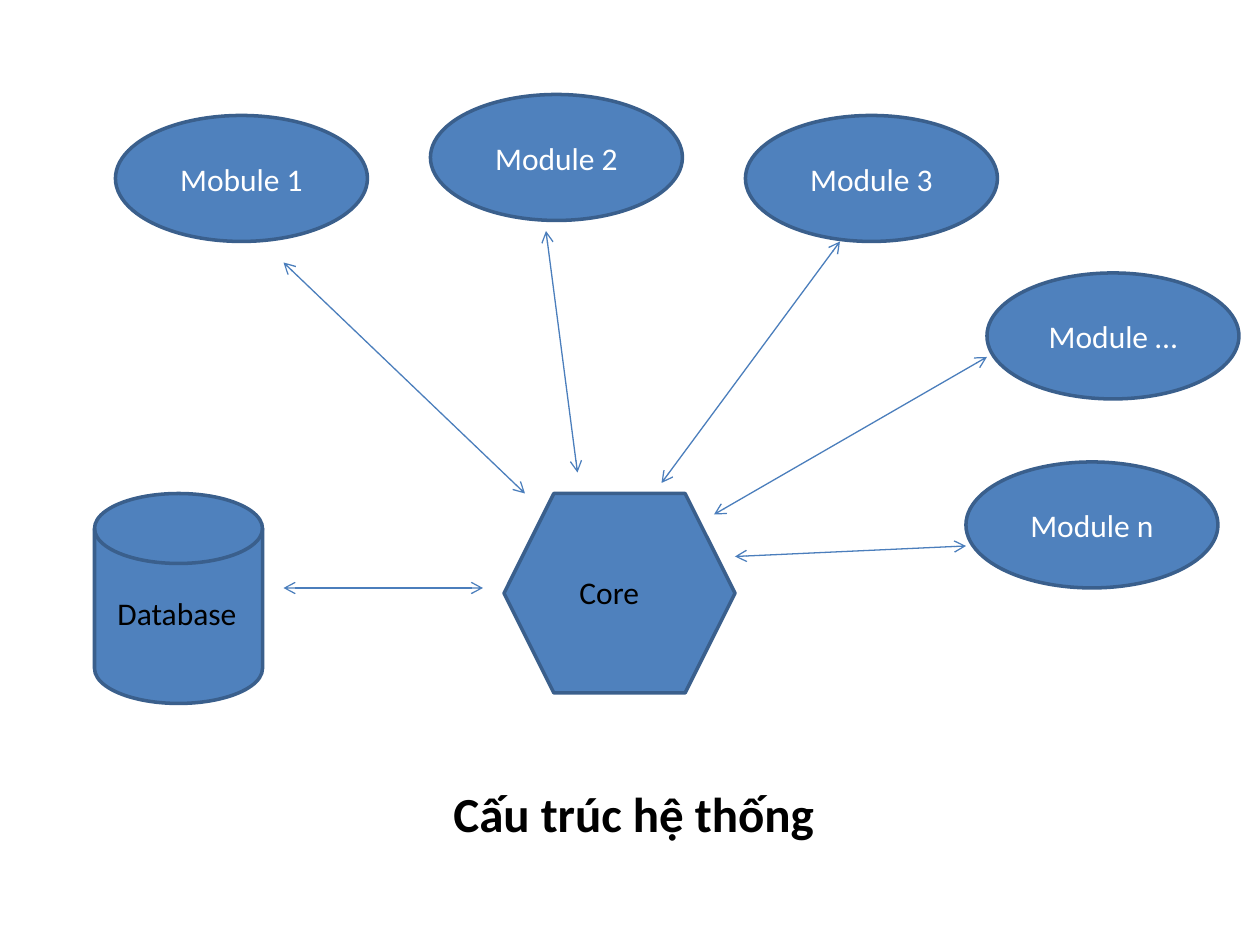
from lxml import etree
from pptx import Presentation
from pptx.dml.color import RGBColor
from pptx.enum.shapes import MSO_CONNECTOR, MSO_SHAPE
from pptx.enum.text import MSO_ANCHOR, PP_ALIGN
from pptx.oxml.ns import qn
from pptx.util import Inches, Pt

OVAL = MSO_SHAPE.OVAL
DISK = MSO_SHAPE.FLOWCHART_MAGNETIC_DISK
HEXAGON = MSO_SHAPE.HEXAGON
STRAIGHT = MSO_CONNECTOR.STRAIGHT
MIDDLE = MSO_ANCHOR.MIDDLE
CENTER = PP_ALIGN.CENTER

BLUE = RGBColor(0x4F, 0x81, 0xBD)
EDGE = RGBColor(0x3A, 0x5F, 0x8C)
ARROW = RGBColor(0x4B, 0x7E, 0xBC)
WHITE = RGBColor(0xFF, 0xFF, 0xFF)
BLACK = RGBColor(0, 0, 0)

# The grid has 120 columns and 90 rows, twelve cells to the inch.
CELL = Inches(1) / 12


def grid(*cells):
    return [round(n * CELL) for n in cells]


def write(shape, text, size, color, bold=False):
    """Put one Calibri run in the shape and return its paragraph."""
    shape.text_frame.word_wrap = True
    para = shape.text_frame.paragraphs[0]
    run = para.add_run()
    run.text = text
    run.font.name = "Calibri"
    run.font.size = Pt(size)
    run.font.bold = bold
    run.font.color.rgb = color
    return para


deck = Presentation()
deck.slide_width, deck.slide_height = grid(120, 90)
slide = deck.slides.add_slide(deck.slide_layouts[6])
shapes = slide.shapes

# Modules: label, column, row
solids = []
for label, col, row in [
    ("Mobule 1", 11, 11),
    ("Module n", 92, 44),
    ("Module …", 94, 26),
    ("Module 2", 41, 9),
    ("Module 3", 71, 11),
]:
    oval = shapes.add_shape(OVAL, *grid(col, row, 24, 12))
    oval.text_frame.vertical_anchor = MIDDLE
    write(oval, label, 18, WHITE).alignment = CENTER
    solids.append(oval)

# Database and core: a body with a label on it, grouped
for label, kind, body, area in [
    ("Database", DISK, (9, 47, 16, 20), (10, 56, 14, 4.8)),
    ("Core", HEXAGON, (48, 47, 22, 19), (54, 54, 9, 5)),
]:
    group = shapes.add_group_shape()
    solids.append(group.shapes.add_shape(kind, *grid(*body)))
    write(group.shapes.add_textbox(*grid(*area)), label, 18, BLACK)

for solid in solids:
    solid.shadow.inherit = False
    solid.fill.solid()
    solid.fill.fore_color.rgb = BLUE
    solid.line.color.rgb = EDGE
    solid.line.width = Pt(2)

# Two-way links: start column and row, end column and row
for ends in [
    (27, 56, 46, 56),
    (27, 25, 50, 47),
    (52, 22, 55, 45),
    (80, 23, 63, 46),
    (94, 34, 68, 49),
    (92, 52, 70, 53),
]:
    link = shapes.add_connector(STRAIGHT, *grid(*ends))
    link.line.color.rgb = ARROW
    link.line.width = Pt(0.75)
    stroke = link.line._get_or_add_ln()
    for tip in ("a:headEnd", "a:tailEnd"):
        etree.SubElement(stroke, qn(tip), type="arrow")
    etree.SubElement(link._element.spPr, qn("a:effectLst"))

title = shapes.add_textbox(*grid(42, 74, 39, 6.8))
write(title, "Cấu trúc hệ thống", 28, BLACK, bold=True)

deck.save("out.pptx")
